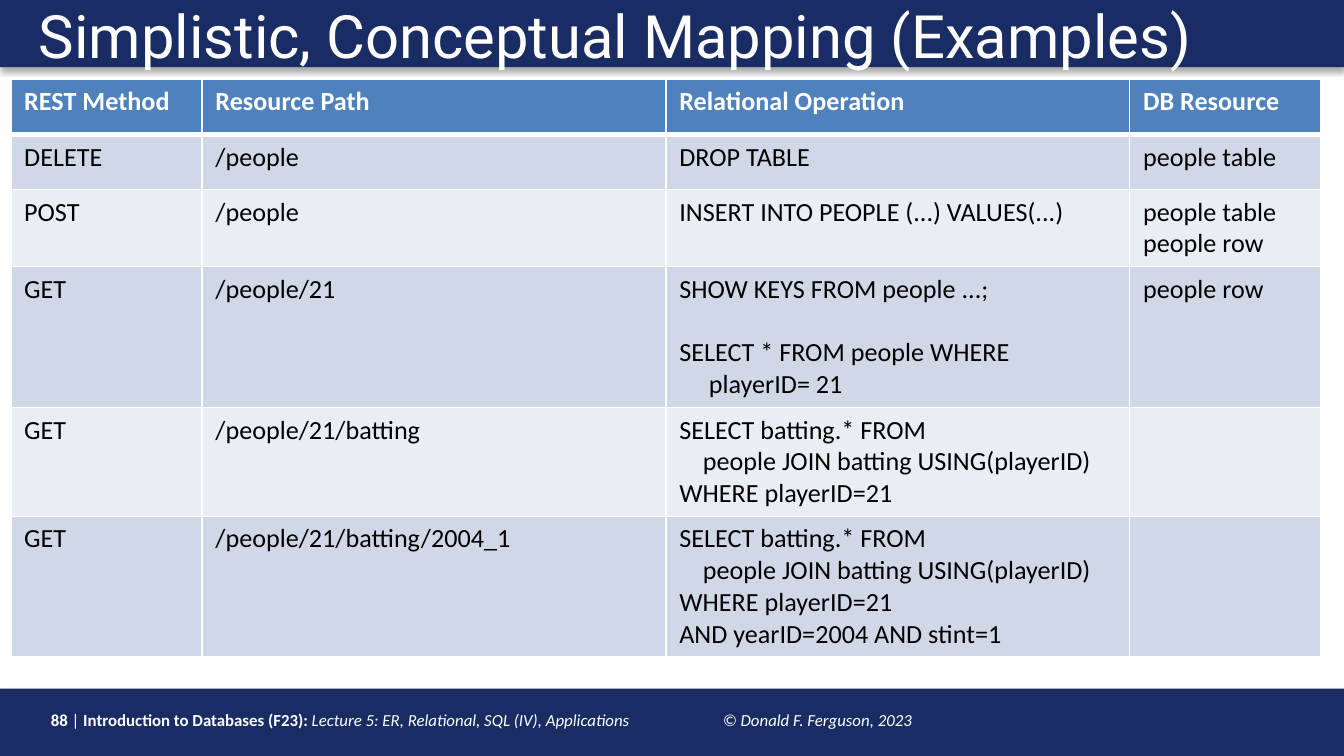
from typing import NamedTuple

from lxml.etree import SubElement
from pptx import Presentation
from pptx.dml.color import RGBColor
from pptx.enum.shapes import MSO_SHAPE
from pptx.enum.text import MSO_ANCHOR
from pptx.oxml.ns import qn
from pptx.util import Emu, Inches, Pt

WIDTH = Inches(10)
HEIGHT = Emu(WIDTH * 9 // 16)
NAVY, WHITE, BLACK = "1A2C64", "FFFFFF", "000000"
HEADER_BLUE, BANDS = "4F81BD", ("D0D8E8", "E9EDF4")
BODY_FONT, TITLE_FONT = "Calibri", "Roboto"
BODY_SIZE = 14
LINE_HEIGHT, CELL_PADDING, MIN_ROW = 0.237, 0.1, 0.41
COLUMN_SHARES = (0.146, 0.354, 0.354, 0.146)
BAND_SHARE = 0.089


class Area(NamedTuple):
    """A rectangle in shares of the slide's width and height."""
    left: float
    top: float
    width: float
    height: float

    def lengths(self) -> tuple[Emu, ...]:
        return (Emu(int(self.left * WIDTH)), Emu(int(self.top * HEIGHT)),
                Emu(int(self.width * WIDTH)), Emu(int(self.height * HEIGHT)))


class Mapping(NamedTuple):
    """A table row; a blank line in a cell separates two statements."""
    method: str
    resource_path: str
    operation: str
    db_resource: str = ""

    def height(self) -> Emu:
        lines = max(cell.count("\n") + 1 for cell in self)
        return Inches(max(MIN_ROW, CELL_PADDING + LINE_HEIGHT * lines))


JOIN = "SELECT batting.* FROM\n    people JOIN batting USING(playerID)\nWHERE playerID=21"
MAPPINGS = (
    Mapping("REST Method", "Resource Path", "Relational Operation", "DB Resource"),
    Mapping("DELETE", "/people", "DROP TABLE", "people table"),
    Mapping("POST", "/people", "INSERT INTO PEOPLE (...) VALUES(...)",
            "people table\npeople row"),
    Mapping("GET", "/people/21",
            "SHOW KEYS FROM people ...;\n\nSELECT * FROM people WHERE\n     playerID= 21",
            "people row"),
    Mapping("GET", "/people/21/batting", JOIN),
    Mapping("GET", "/people/21/batting/2004_1", JOIN + "\nAND yearID=2004 AND stint=1"),
)


def colour(value: str) -> RGBColor:
    return RGBColor.from_string(value)


def write(paragraph, text: str, *, size: float = BODY_SIZE, font: str = BODY_FONT,
          ink: str = WHITE, bold: bool = False, italic: bool = False) -> None:
    """Add text to the paragraph; each newline becomes a line break."""
    for index, line in enumerate(text.split("\n")):
        if index:
            paragraph.add_line_break()
        run = paragraph.add_run()
        run.text = line
        run.font.size, run.font.name = Pt(size), font
        run.font.bold, run.font.italic = bold, italic
        run.font.color.rgb = colour(ink)


def add_band(slide, area: Area) -> None:
    band = slide.shapes.add_shape(MSO_SHAPE.RECTANGLE, *area.lengths())
    band.fill.solid()
    band.fill.fore_color.rgb = colour(NAVY)
    band.line.fill.background()
    band.shadow.inherit = False
    effects = band._element.spPr.find(qn("a:effectLst"))
    shadow = SubElement(effects, qn("a:outerShdw"), blurRad=str(Pt(3.1)),
                        dist=str(Pt(1.8)), dir="5400000", rotWithShape="0")
    tint = SubElement(shadow, qn("a:srgbClr"), val=BLACK)
    SubElement(tint, qn("a:alpha"), val="35000")


def add_text_box(slide, area: Area):
    """Add a wrapping text box and return its first paragraph."""
    frame = slide.shapes.add_textbox(*area.lengths()).text_frame
    frame.word_wrap = True
    frame.vertical_anchor = MSO_ANCHOR.TOP
    return frame.paragraphs[0]


def set_borders(cell, **widths: float) -> None:
    properties = cell._tc.get_or_add_tcPr()
    for position, (side, width) in enumerate(widths.items()):
        border = properties.makeelement(qn(f"a:{side}"), {"w": str(Pt(width))})
        fill = SubElement(border, qn("a:solidFill"))
        SubElement(fill, qn("a:srgbClr"), val=WHITE)
        properties.insert(position, border)


def add_mapping_table(slide, area: Area) -> None:
    table = slide.shapes.add_table(
        len(MAPPINGS), len(COLUMN_SHARES), *area.lengths()).table
    for column, share in zip(table.columns, COLUMN_SHARES):
        column.width = Emu(int(share * area.width * WIDTH))
    for index, mapping in enumerate(MAPPINGS):
        table.rows[index].height = mapping.height()
        is_header = index == 0
        for cell, content in zip(table.rows[index].cells, mapping):
            cell.fill.solid()
            cell.fill.fore_color.rgb = colour(
                HEADER_BLUE if is_header else BANDS[(index - 1) % 2])
            set_borders(cell, lnL=1, lnR=1, lnT=3 if index == 1 else 1,
                        lnB=3 if is_header else 1)
            if not content:
                continue
            for part, statement in enumerate(content.split("\n\n")):
                frame = cell.text_frame
                paragraph = frame.add_paragraph() if part else frame.paragraphs[0]
                if part:
                    paragraph.space_before = Inches(LINE_HEIGHT)
                write(paragraph, statement, bold=is_header,
                      ink=WHITE if is_header else BLACK)


def add_footer(slide, area: Area) -> None:
    footer = add_text_box(slide, area)
    tabs = SubElement(footer._p.get_or_add_pPr(), qn("a:tabLst"))
    SubElement(tabs, qn("a:tab"), pos=str(Inches(5)), algn="l")
    write(footer, "88 ", size=9, bold=True)
    write(footer, "|", size=9)
    write(footer, " Introduction to Databases (F23): ", size=9, bold=True)
    write(footer, "Lecture 5: ER, Relational, SQL (IV), Applications \t"
          "© Donald F. Ferguson, 2023", size=9, italic=True)


def main() -> None:
    presentation = Presentation()
    presentation.slide_width, presentation.slide_height = WIDTH, HEIGHT
    slide = presentation.slides.add_slide(presentation.slide_layouts[6])
    add_band(slide, Area(0, 1 - BAND_SHARE, 1, BAND_SHARE))
    add_footer(slide, Area(0.028, 0.93, 0.742, 0.045))
    add_band(slide, Area(0, 0, 1, BAND_SHARE))
    title = add_text_box(slide, Area(0.019, 0, 0.948, 0.085))
    title.line_spacing = 0.9
    write(title, "Simplistic, Conceptual Mapping (Examples)", size=32, font=TITLE_FONT)
    add_mapping_table(slide, Area(0.008, 0.105, 0.975, 0.755))
    presentation.save("out.pptx")


if __name__ == "__main__":
    main()
